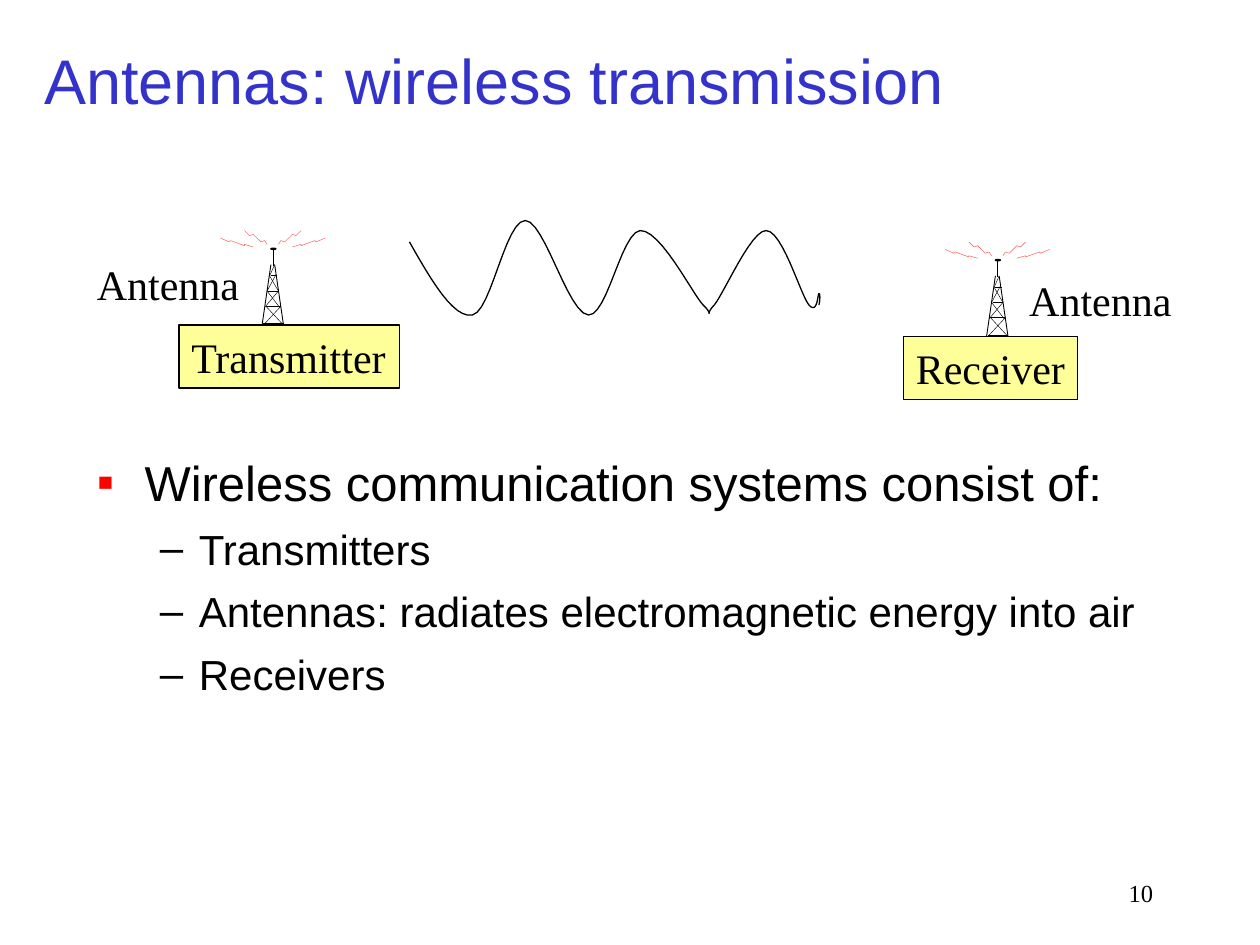
from typing import NamedTuple

from lxml import etree
from pptx import Presentation
from pptx.dml.color import RGBColor
from pptx.enum.shapes import MSO_CONNECTOR, MSO_SHAPE
from pptx.enum.text import MSO_ANCHOR, PP_ALIGN
from pptx.oxml.ns import qn
from pptx.util import Inches, Pt

LINE = MSO_CONNECTOR.STRAIGHT
RECT, OVAL = MSO_SHAPE.RECTANGLE, MSO_SHAPE.OVAL
LEFT, RIGHT = PP_ALIGN.LEFT, PP_ALIGN.RIGHT
MIDDLE = MSO_ANCHOR.MIDDLE
SANS, SERIF = "Arial", "Times New Roman"
COLORS = {"title": "3333CC", "ink": "000000", "bullet": "FF0000",
          "spark": "FF5050", "tip": "C0C0C0", "box": "FFFF99"}


class Label(NamedTuple):
    text: str
    left: float
    top: float
    width: float
    height: float = 0.5
    size: int = 24
    align: PP_ALIGN = LEFT


class Strut(NamedTuple):
    x1: float
    y1: float
    x2: float
    y2: float
    width: float


class Level(NamedTuple):
    size: int
    char: str
    color: str
    margin: float
    indent: float


class Item(NamedTuple):
    text: str
    depth: int


STRUTS = [
    Strut(2.15, 2.19, 2.2, 2.19, 0.5), Strut(2.17, 2.11, 2.17, 1.98, 0.5),
    Strut(2.08, 2.58, 2.15, 2.1, 0.5), Strut(2.18, 2.1, 2.25, 2.58, 0.5),
    Strut(2.09, 2.57, 2.25, 2.57, 0.5), Strut(2.11, 2.43, 2.23, 2.43, 0.5),
    Strut(2.11, 2.43, 2.24, 2.57, 0.25), Strut(2.23, 2.43, 2.1, 2.57, 0.25),
    Strut(2.13, 2.31, 2.21, 2.31, 0.5), Strut(2.12, 2.31, 2.22, 2.44, 0.25),
    Strut(2.1, 2.44, 2.21, 2.31, 0.25), Strut(2.14, 2.19, 2.21, 2.31, 0.25),
    Strut(2.12, 2.31, 2.19, 2.18, 0.25), Strut(2.14, 2.19, 2.18, 2.1, 0.25),
]
AXIS = 2.165
SPARKS = [
    [(2.32, 1.96), (2.39, 1.94), (2.39, 1.95), (2.5, 1.91), (2.51, 1.92), (2.58, 1.89)],
    [(2.21, 1.94), (2.23, 1.91), (2.26, 1.92), (2.32, 1.86), (2.35, 1.87), (2.39, 1.83)],
]
WAVE = [
    (3.25, 1.92), (3.42, 2.22), (3.6, 2.53), (3.75, 2.5), (3.9, 2.47), (4.01, 1.75),
    (4.17, 1.75), (4.32, 1.75), (4.51, 2.49), (4.67, 2.5), (4.82, 2.51), (4.93, 1.85),
    (5.08, 1.83), (5.24, 1.82), (5.49, 2.32), (5.58, 2.42), (5.68, 2.51), (5.58, 2.51),
    (5.67, 2.42), (5.75, 2.32), (5.96, 1.83), (6.08, 1.83), (6.21, 1.83), (6.35, 2.33),
    (6.42, 2.42), (6.49, 2.5), (6.49, 2.33), (6.5, 2.33), (6.51, 2.33), (6.51, 2.38),
    (6.5, 2.42),
]
LEVELS = [Level(28, "▪", "bullet", 0.38, -0.38), Level(24, "–", "ink", 0.81, -0.31)]
ITEMS = [
    Item("Wireless communication systems consist of:", 0),
    Item("Transmitters", 1),
    Item("Antennas: radiates electromagnetic energy into air", 1),
    Item("Receivers", 1),
]
BOXES = [Label("Transmitter", 1.42, 2.58, 1.75), Label("Receiver", 7.17, 2.67, 1.38)]
LABELS = [
    Label("Antenna", 0.67, 2, 1.33),
    Label("Antenna", 8.07, 2.13, 1.33),
    Label("10", 7.17, 6.92, 2.08, size=14, align=RIGHT),
]


def rgb(name: str) -> RGBColor:
    return RGBColor.from_string(COLORS[name])


def style(para, face: str, size: int, color: str) -> None:
    for run in para.runs:
        run.font.name = face
        run.font.size = Pt(size)
        run.font.color.rgb = rgb(color)


def stroke(shape, color: str, width: float) -> None:
    shape.line.color.rgb = rgb(color)
    shape.line.width = Pt(width)


def add_path(shapes, points: list, color: str, width: float) -> None:
    spots = [(Inches(x), Inches(y)) for x, y in points]
    pen = shapes.build_freeform(*spots[0])
    pen.add_line_segments(spots[1:], close=False)
    shape = pen.convert_to_shape()
    shape.shadow.inherit = False
    shape.fill.background()
    stroke(shape, color, width)


def add_strut(shapes, strut: Strut, dx: float, dy: float) -> None:
    line = shapes.add_connector(
        LINE, Inches(strut.x1 + dx), Inches(strut.y1 + dy),
        Inches(strut.x2 + dx), Inches(strut.y2 + dy))
    stroke(line, "ink", strut.width)
    etree.SubElement(line._element.spPr, qn("a:effectLst"))


def add_solid(shapes, kind: MSO_SHAPE, area: tuple, color: str):
    shape = shapes.add_shape(kind, *map(Inches, area))
    shape.shadow.inherit = False
    shape.fill.solid()
    shape.fill.fore_color.rgb = rgb(color)
    stroke(shape, "ink", 0.75)
    return shape


def add_tower(slide, dx: float, dy: float) -> None:
    shapes = slide.shapes.add_group_shape().shapes
    for spark in SPARKS:
        for side in (1, -1):
            points = [(AXIS + side * (x - AXIS) + dx, y + dy) for x, y in spark]
            add_path(shapes, points, "spark", 0.25)
    for strut in STRUTS:
        add_strut(shapes, strut, dx, dy)
    add_solid(shapes, OVAL, (2.15 + dx, 1.97 + dy, 0.04, 0.01), "tip")


def write(shape, label: Label) -> None:
    frame = shape.text_frame
    frame.word_wrap = label.align == RIGHT
    frame.text = label.text
    para = frame.paragraphs[0]
    para.alignment = label.align
    style(para, SERIF, label.size, "ink")


def add_label(slide, label: Label) -> None:
    write(slide.shapes.add_textbox(*map(Inches, label[1:5])), label)


def add_box(slide, label: Label) -> None:
    write(add_solid(slide.shapes, RECT, label[1:5], "box"), label)


def add_title(slide, text: str) -> None:
    title = slide.shapes.title
    title.left, title.top = Inches(0.25), Inches(0.17)
    title.width, title.height = Inches(8.5), Inches(0.92)
    frame = title.text_frame
    frame.text = text
    frame.vertical_anchor = MIDDLE
    frame.paragraphs[0].alignment = LEFT
    style(frame.paragraphs[0], SANS, 36, "title")


def add_bullet(para, level: Level) -> None:
    props = para._p.get_or_add_pPr()
    props.set("marL", str(Inches(level.margin)))
    props.set("indent", str(Inches(level.indent)))
    tint = etree.SubElement(props, qn("a:buClr"))
    etree.SubElement(tint, qn("a:srgbClr")).set("val", COLORS[level.color])
    etree.SubElement(props, qn("a:buFont")).set("typeface", SANS)
    etree.SubElement(props, qn("a:buChar")).set("char", level.char)


def add_list(slide) -> None:
    area = map(Inches, (0.67, 3.54, 8.5, 3.54))
    frame = slide.shapes.add_textbox(*area).text_frame
    frame.word_wrap = True
    for i, item in enumerate(ITEMS):
        para = frame.add_paragraph() if i else frame.paragraphs[0]
        level = LEVELS[item.depth]
        para.text = item.text
        para.level = item.depth
        add_bullet(para, level)
        para.space_before = Pt(7 if i else 0)
        style(para, SANS, level.size, "ink")


def curve(knots: list, steps: int = 12) -> list:
    points = [knots[0]]
    for i in range(0, len(knots) - 1, 3):
        for k in range(1, steps + 1):
            t = k / steps
            u = 1 - t
            mix = (u ** 3, 3 * u * u * t, 3 * u * t * t, t ** 3)
            points.append(tuple(
                sum(m * knot[axis] for m, knot in zip(mix, knots[i:i + 4]))
                for axis in (0, 1)))
    return points


def main() -> None:
    deck = Presentation()
    deck.slide_width, deck.slide_height = Inches(10), Inches(7.5)
    slide = deck.slides.add_slide(deck.slide_layouts[5])
    add_title(slide, "Antennas: wireless transmission")
    add_list(slide)
    for box in BOXES:
        add_tower(slide, box.left - BOXES[0].left, box.top - BOXES[0].top)
        add_box(slide, box)
    for label in LABELS:
        add_label(slide, label)
    add_path(slide.shapes, curve(WAVE), "ink", 0.75)
    deck.save("out.pptx")


if __name__ == "__main__":
    main()
